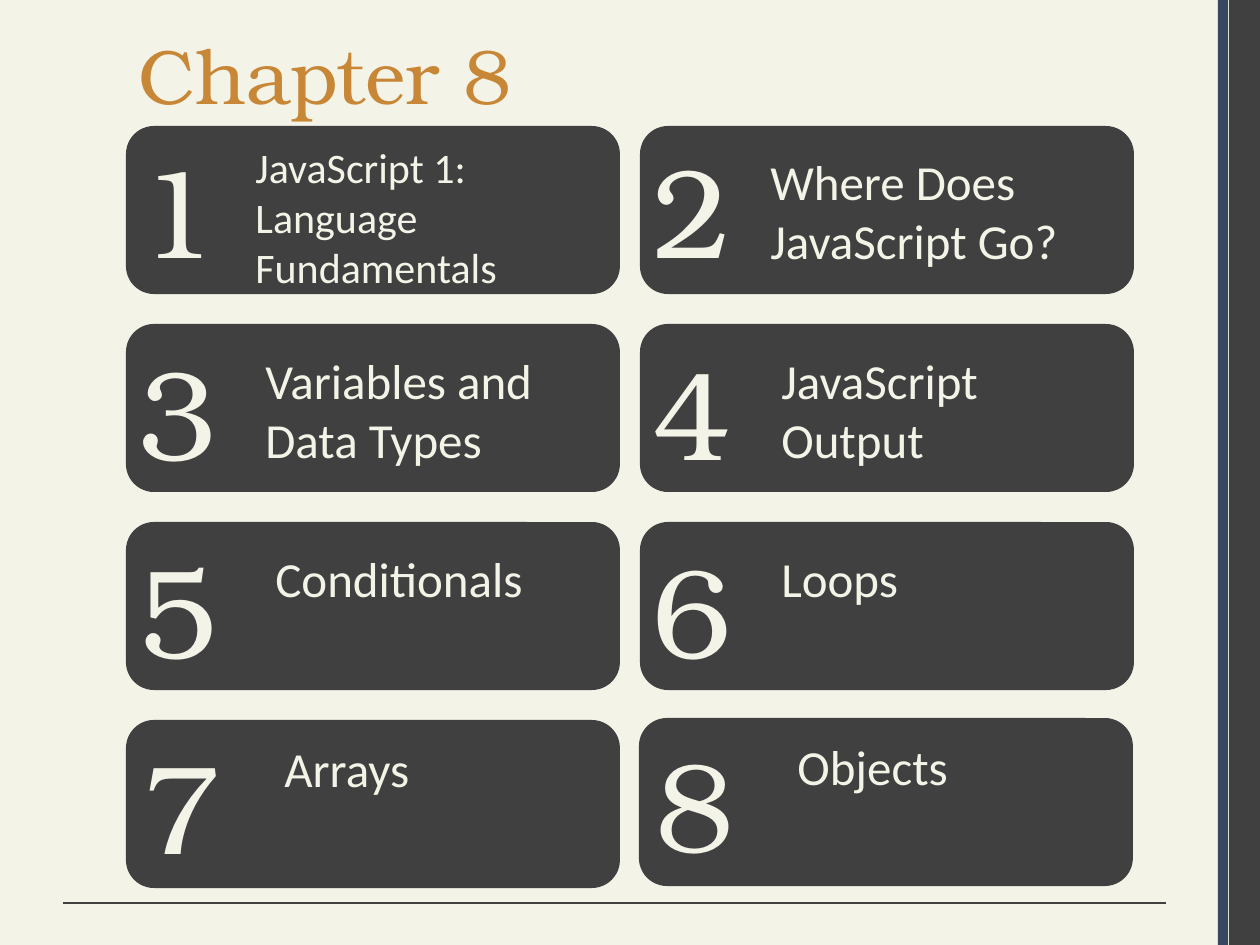
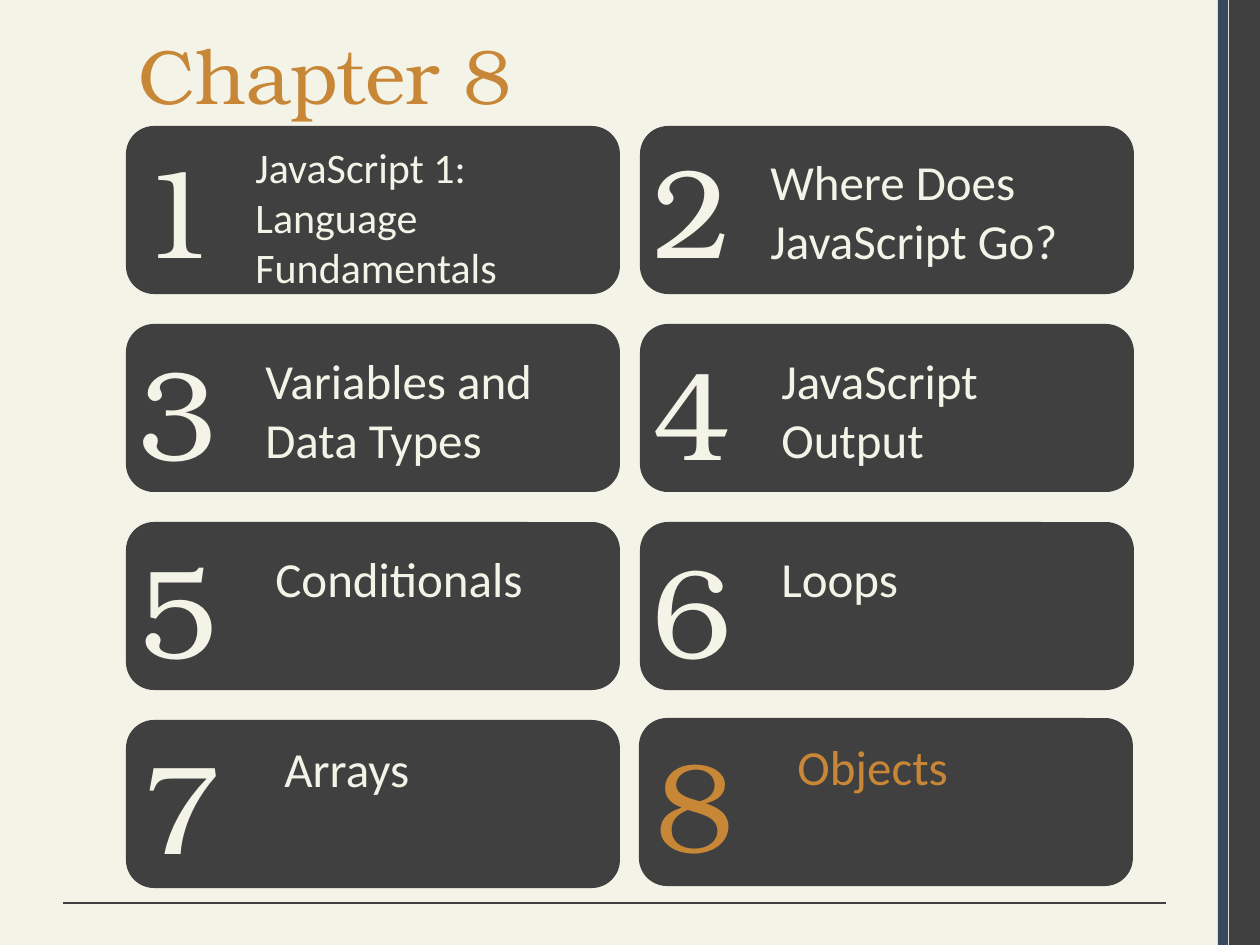
from collections import namedtuple

from lxml import etree
from pptx import Presentation
from pptx.dml.color import RGBColor
from pptx.enum.shapes import MSO_CONNECTOR as CONN, MSO_SHAPE as SHAPE
from pptx.enum.text import MSO_ANCHOR as ANCHOR, MSO_AUTO_SIZE as AUTO, PP_ALIGN as ALIGN
from pptx.oxml.ns import qn
from pptx.util import Pt

PX = 914400 / 126
SLIDE_W, SLIDE_H = 1260, 945

CREAM, CHARCOAL, NAVY, AMBER = "F3F3E7", "404040", "37475F", "C88736"
SERIF, SANS = "TeX Gyre Bonum", "Calibri"

# Card grid
GRID_X, GRID_Y = 126, 126
CARD_W, CARD_H = 494, 168
PITCH_X, PITCH_Y = 514, 198
LABEL_W = 348

# number and label are offsets from the card's corner; nudge moves the card
Topic = namedtuple("Topic", "text number label lines size nudge", defaults=(28, (0, 0)))
TOPICS = [
    Topic("JavaScript 1: Language Fundamentals", (0, 0), (117, 9), 3, 24),
    Topic("Where Does JavaScript Go?", (0, 0), (118, 19), 2),
    Topic("Variables and Data Types", (0, 4), (127, 20), 2),
    Topic("JavaScript Output", (0, 4), (129, 20), 2),
    Topic("Conditionals", (0, 4), (137, 20), 1),
    Topic("Loops", (0, 4), (129, 20), 1),
    Topic("Arrays", (4, 2), (146, 12), 1),
    Topic("Objects", (4, 2), (146, 12), 1, nudge=(-1, -2)),
]


def px(n):
    return round(n * PX)


def color(hex_code):
    return RGBColor.from_string(hex_code)


def add_box(slide, kind, x, y, w, h, fill):
    sp = slide.shapes.add_shape(kind, px(x), px(y), px(w), px(h))
    sp.shadow.inherit = False
    sp.fill.solid()
    sp.fill.fore_color.rgb = color(fill)
    sp.line.fill.background()


def add_text(slide, text, x, y, w, h, font, size, ink, auto=AUTO.SHAPE_TO_FIT_TEXT):
    tf = slide.shapes.add_textbox(px(x), px(y), px(w), px(h)).text_frame
    tf.word_wrap = True
    tf.auto_size = auto
    tf.vertical_anchor = ANCHOR.TOP
    tf.text = text
    p = tf.paragraphs[0]
    p.alignment = ALIGN.LEFT
    r = p.runs[0]
    r.font.name = font
    r.font.size = Pt(size)
    r.font.color.rgb = color(ink)


def add_frame(slide, title):
    # Right-hand bands
    add_box(slide, SHAPE.RECTANGLE, 1229, 0, 31, SLIDE_H, CHARCOAL)
    add_box(slide, SHAPE.RECTANGLE, 1218, 0, 10, SLIDE_H, NAVY)
    # Footer rule
    rule = slide.shapes.add_connector(CONN.STRAIGHT, px(1166), px(903), px(63), px(903))
    rule.line.color.rgb = color(CHARCOAL)
    rule.line.width = Pt(0.75)
    etree.SubElement(rule._element.spPr, qn("a:effectLst"))
    # Title
    add_text(slide, title, GRID_X, 21, 1092, 147, SERIF, 44, AMBER, AUTO.NONE)


def add_card(slide, x, y, number, topic, ink):
    add_box(slide, SHAPE.ROUNDED_RECTANGLE, x, y, CARD_W, CARD_H, CHARCOAL)
    dx, dy = topic.number
    add_text(slide, str(number), x + dx, y + dy, 94, 165, SERIF, 72, ink)
    dx, dy = topic.label
    label_h = 12 + topic.lines * round(topic.size * 2.13)
    add_text(slide, topic.text, x + dx, y + dy, LABEL_W, label_h, SANS, topic.size, ink)


def add_chapter_slide(prs, title, current=None):
    slide = prs.slides.add_slide(prs.slide_layouts[6])
    add_frame(slide, title)
    for i, topic in enumerate(TOPICS):
        row, col = divmod(i, 2)
        x = GRID_X + col * PITCH_X + topic.nudge[0]
        y = GRID_Y + row * PITCH_Y + topic.nudge[1]
        ink = AMBER if i + 1 == current else CREAM
        add_card(slide, x, y, i + 1, topic, ink)


def main():
    prs = Presentation()
    prs.slide_width, prs.slide_height = px(SLIDE_W), px(SLIDE_H)
    background = prs.slide_master.background.fill
    background.solid()
    background.fore_color.rgb = color(CREAM)
    add_chapter_slide(prs, "Chapter 8")
    add_chapter_slide(prs, "Chapter 8", current=8)
    prs.save("out.pptx")


if __name__ == "__main__":
    main()
